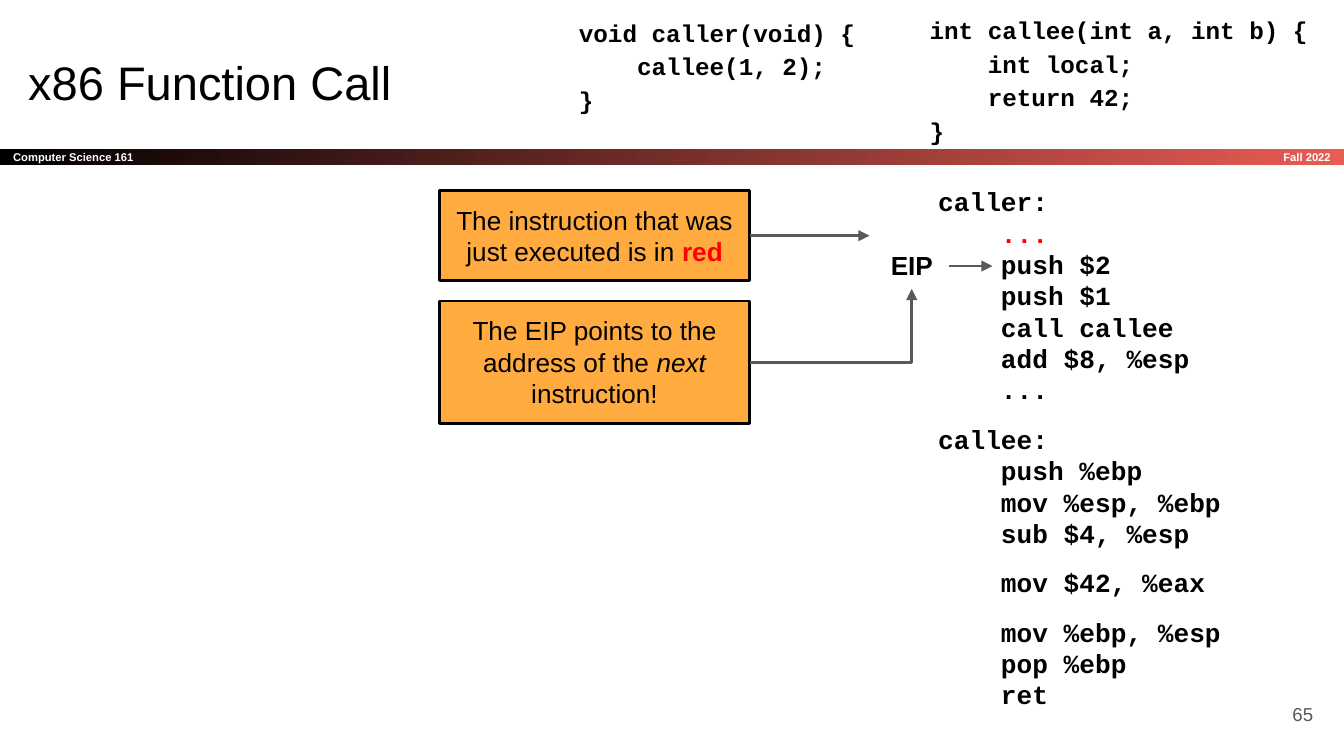
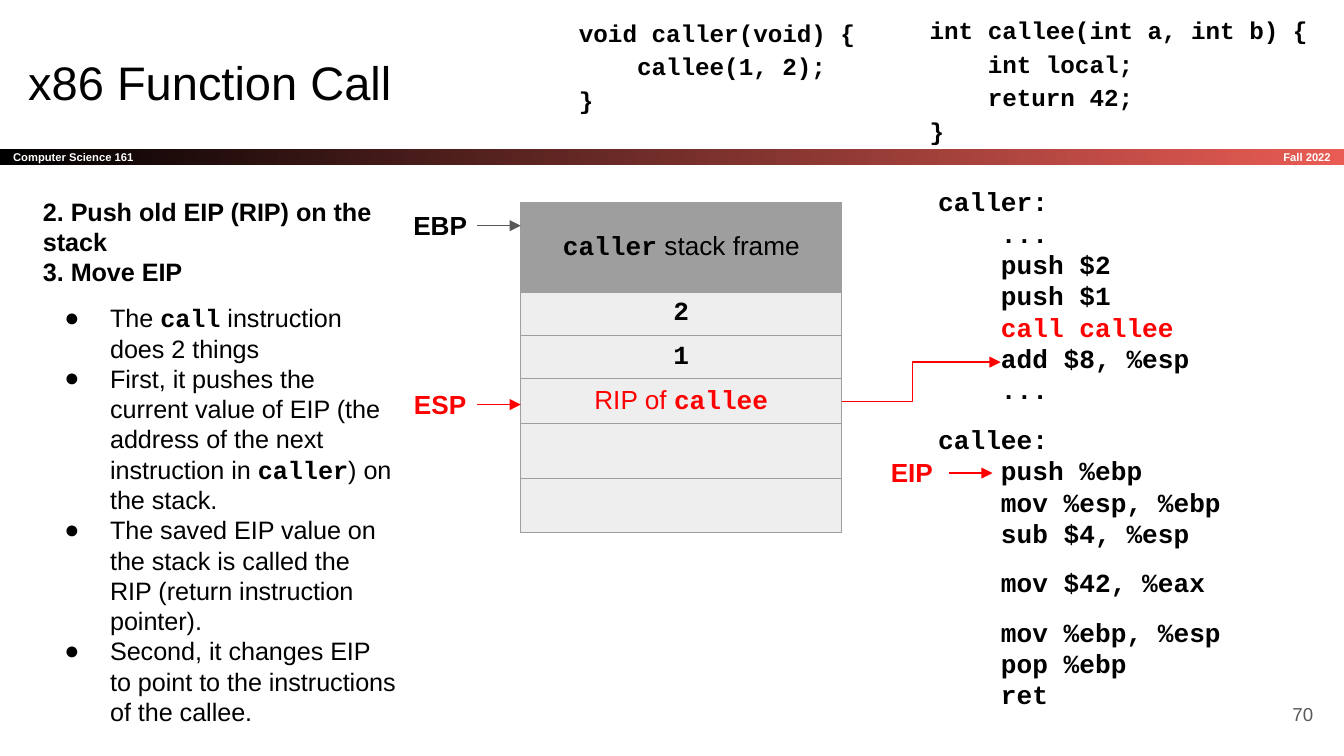
from dataclasses import dataclass
from typing import NamedTuple

from lxml import etree
from pptx import Presentation
from pptx.dml.color import RGBColor
from pptx.enum.shapes import MSO_CONNECTOR, MSO_SHAPE
from pptx.enum.text import MSO_ANCHOR, MSO_AUTO_SIZE, PP_ALIGN
from pptx.oxml.ns import qn
from pptx.util import Pt

LEFT, CENTER, RIGHT = PP_ALIGN.LEFT, PP_ALIGN.CENTER, PP_ALIGN.RIGHT
TOP, MIDDLE = MSO_ANCHOR.TOP, MSO_ANCHOR.MIDDLE
NO_AUTOFIT = MSO_AUTO_SIZE.NONE
STRAIGHT, ELBOW = MSO_CONNECTOR.STRAIGHT, MSO_CONNECTOR.ELBOW
RECTANGLE = MSO_SHAPE.RECTANGLE
BOTTOM_SIDE, RIGHT_SIDE = 2, 3

BLACK, WHITE, RED, GREY = "000000", "FFFFFF", "FF0000", "595959"
BAND_END, CALLOUT_FILL = "E85C54", "FFAB40"
FRAME_FILL, SLOT_FILL = "9E9E9E", "EEEEEE"
SANS, MONO = "Arial", "Courier New"

LEADING = 1.2
POINTER_LENGTH = 23.4
REGISTER_SIZE = (39.6, 24.5)
STACK_LEFT, STACK_TOP, STACK_WIDTH = 279, 108.7, 172
SLOT_HEIGHTS = (48, 23, 23, 24, 27.5, 27.5)

CALLER_CODE = "void caller(void) {\n    callee(1, 2);\n}"
CALLEE_CODE = "int callee(int a, int b) {\n    int local;\n    return 42;\n}"
ASSEMBLY_BLOCKS = (
    ("caller:", "    ...", "    push $2", "    push $1", "    call callee",
     "    add $8, %esp", "    ..."),
    ("callee:", "    push %ebp", "    mov %esp, %ebp", "    sub $4, %esp"),
    ("    mov $42, %eax",),
    ("    mov %ebp, %esp", "    pop %ebp", "    ret"),
)


class Box(NamedTuple):
    left: float
    top: float
    width: float
    height: float


@dataclass(frozen=True)
class Span:
    text: str
    size: float = 14
    font: str = SANS
    color: str = BLACK
    bold: bool = False
    italic: bool = False


@dataclass(frozen=True)
class Line:
    spans: tuple
    align: PP_ALIGN = LEFT
    before: float = 0
    leading: float | None = None
    bulleted: bool = False


@dataclass(frozen=True)
class Register:
    name: str
    left: float
    top: float
    color: str = BLACK
    pointer_color: str = GREY


EIP_NEXT = Register("EIP", 468.7, 130.3)
SLIDE_2_REGISTERS = (
    Register("EBP", 216, 108.7),
    Register("ESP", 216, 204.5, RED, RED),
    Register("EIP", 468.7, 241.2, RED, RED),
)


def rgb(color: str) -> RGBColor:
    return RGBColor.from_string(color)


def points(values) -> list:
    return [Pt(value) for value in values]


def apply(target, values: dict) -> None:
    for name, value in values.items():
        setattr(target, name, value)


def add_xml(parent, tag: str, **attributes: str):
    return etree.SubElement(parent, qn(tag), attributes)


def write(frame, lines, inset: float = 7.2, anchor=TOP, inset_y: float | None = None) -> None:
    """Fill a text frame with lines, ignoring any inherited list format."""
    inset_y = inset if inset_y is None else inset_y
    apply(frame, {
        "word_wrap": True, "auto_size": NO_AUTOFIT, "vertical_anchor": anchor,
        "margin_left": Pt(inset), "margin_right": Pt(inset),
        "margin_top": Pt(inset_y), "margin_bottom": Pt(inset_y),
    })
    write_lines(frame, lines)


def write_lines(frame, lines) -> None:
    for index, line in enumerate(lines):
        paragraph = frame.add_paragraph() if index else frame.paragraphs[0]
        properties = paragraph._p.get_or_add_pPr()
        indent = (36, -24.5) if line.bulleted else (0, 0)
        for name, value in zip(("marL", "indent"), points(indent)):
            properties.set(name, str(int(value)))
        if line.bulleted:
            add_xml(add_xml(properties, "a:buClr"), "a:srgbClr", val=BLACK)
            add_xml(properties, "a:buChar", char="●")
        else:
            add_xml(properties, "a:buNone")
        apply(paragraph, {
            "alignment": line.align, "space_before": Pt(line.before),
            "space_after": Pt(0),
            "line_spacing": Pt(line.leading) if line.leading else 1.0,
        })
        for span in line.spans:
            write_span(paragraph, span)


def write_span(paragraph, span: Span) -> None:
    for index, text in enumerate(span.text.split("\n")):
        if index:
            paragraph.add_line_break()
        run = paragraph.add_run()
        run.text = text
        apply(run.font, {"name": span.font, "size": Pt(span.size),
                         "bold": span.bold, "italic": span.italic})
        run.font.color.rgb = rgb(span.color)


def place(shape, box: Box) -> None:
    apply(shape, dict(zip(("left", "top", "width", "height"), points(box))))


def add_label(slide, box: Box, line: Line, **frame_format):
    label = slide.shapes.add_textbox(*points(box))
    write(label.text_frame, [line], **frame_format)
    return label


def add_callout(slide, box: Box, *spans: Span):
    callout = slide.shapes.add_shape(RECTANGLE, *points(box))
    callout.shadow.inherit = False
    callout.fill.solid()
    callout.fill.fore_color.rgb = rgb(CALLOUT_FILL)
    callout.line.color.rgb = rgb(BLACK)
    callout.line.width = Pt(1.5)
    write(callout.text_frame, [Line(spans, CENTER, leading=14 * LEADING)])
    return callout


def style_arrow(arrow, color: str, width: float) -> None:
    arrow.line.color.rgb = rgb(color)
    arrow.line.width = Pt(width)
    add_xml(arrow.line._get_or_add_ln(), "a:tailEnd", type="triangle")


def add_arrow(slide, source, end, color=GREY, width=0.75, kind=STRAIGHT):
    """Run an arrow from the right side of source to a point."""
    arrow = slide.shapes.add_connector(kind, 0, 0, *points(end))
    arrow.begin_connect(source, RIGHT_SIDE)
    style_arrow(arrow, color, width)
    add_xml(arrow._element.spPr, "a:effectLst")
    return arrow


def add_register(slide, register: Register):
    box = Box(register.left, register.top, *REGISTER_SIZE)
    name = Span(register.name, color=register.color, bold=True)
    label = add_label(slide, box, Line((name,), CENTER), inset=3.6)
    end = (box.left + box.width + POINTER_LENGTH, box.top + box.height / 2)
    add_arrow(slide, label, end, register.pointer_color)
    return label


def add_band(slide) -> None:
    band = slide.shapes.add_shape(RECTANGLE, *points((0, 80, 720, 8.6)))
    band.shadow.inherit = False
    band.line.fill.background()
    band.fill.gradient()
    band.fill.gradient_angle = 0
    for stop, color, position in zip(band.fill.gradient_stops, (BLACK, BAND_END), (0, 1)):
        stop.color.rgb = rgb(color)
        stop.position = position
    small = {"size": 6, "color": WHITE, "bold": True}
    frame_format = {"anchor": MIDDLE, "inset_y": 0}
    write(band.text_frame, [Line((Span("Computer Science 161", **small),))], **frame_format)
    add_label(slide, Box(600.5, 80, 119.5, 8.6),
              Line((Span("Fall 2022", **small),), RIGHT), **frame_format)


def add_assembly(slide, executed: str) -> None:
    """List the instructions, with the one just executed in red."""
    lines = []
    for block in ASSEMBLY_BLOCKS:
        for index, code in enumerate(block):
            color = RED if (code.strip() == executed and code not in
                            [line.spans[0].text for line in lines]) else BLACK
            gap = 8 * LEADING if lines and index == 0 else 0
            span = Span(code, font=MONO, color=color, bold=True)
            lines.append(Line((span,), before=gap, leading=14 * LEADING))
    listing = slide.placeholders[1]
    place(listing, Box(495.4, 92.2, 203.8, 306))
    write(listing.text_frame, lines)


def add_call_slide(deck, layout: int, number: str, executed: str):
    slide = deck.slides.add_slide(deck.slide_layouts[layout])
    add_band(slide)
    add_assembly(slide, executed)
    place(slide.shapes.title, Box(7.9, 21.6, 671, 45.4))
    write(slide.shapes.title.text_frame, [Line((Span("x86 Function Call", 25.2),))])
    add_label(slide, Box(667.4, 367.2, 43.2, 31),
              Line((Span(number, 10, color=GREY),), RIGHT), anchor=MIDDLE)
    for code, box in ((CALLER_CODE, Box(303.1, 0, 180, 67.7)),
                      (CALLEE_CODE, Box(491, -1.4, 219.6, 85))):
        add_label(slide, box, Line((Span(code, 13, MONO, bold=True),), leading=18))
    return slide


def add_stack(slide) -> None:
    slots = (
        (Span("caller", font=MONO, bold=True), Span(" stack frame")),
        (Span("2", font=MONO, bold=True),),
        (Span("1", font=MONO, bold=True),),
        (Span("RIP of ", color=RED), Span("callee", font=MONO, color=RED, bold=True)),
        (),
        (),
    )
    size = (STACK_WIDTH, sum(SLOT_HEIGHTS))
    stack = slide.shapes.add_table(len(slots), 1, *points((STACK_LEFT, STACK_TOP, *size))).table
    apply(stack, {"first_row": False, "horz_banding": False})
    for index, (spans, height) in enumerate(zip(slots, SLOT_HEIGHTS)):
        stack.rows[index].height = Pt(height)
        cell = stack.cell(index, 0)
        margins = ("margin_left", "margin_right", "margin_top", "margin_bottom")
        apply(cell, dict.fromkeys(margins, Pt(3.6)))
        cell.vertical_anchor = TOP if index else MIDDLE
        for side in ("a:lnL", "a:lnR", "a:lnT", "a:lnB"):
            border = add_xml(cell._tc.get_or_add_tcPr(), side, w=str(int(Pt(0.75))))
            add_xml(add_xml(border, "a:solidFill"), "a:srgbClr", val=FRAME_FILL)
        cell.fill.solid()
        cell.fill.fore_color.rgb = rgb(SLOT_FILL if index else FRAME_FILL)
        if spans:
            write_lines(cell.text_frame, [Line(spans, CENTER)])


def add_return_arrow(slide) -> None:
    """Lead from the saved RIP to the instruction it points at."""
    outline = slide.shapes.build_freeform(STACK_LEFT + STACK_WIDTH, 215.3, scale=Pt(1))
    outline.add_line_segments([(488.9, 215.3), (488.9, 194.4), (535.7, 194.4)], close=False)
    arrow = outline.convert_to_shape()
    arrow.shadow.inherit = False
    arrow.fill.background()
    style_arrow(arrow, RED, 0.75)


def add_notes(slide) -> None:
    def plain(text: str) -> Span:
        return Span(text, 13.5)

    def code(text: str) -> Span:
        return Span(text, 13.5, MONO, bold=True)

    heading = Span("2. Push old EIP (RIP) on the stack\n3. Move EIP", 13.5, bold=True)
    bullets = (
        (plain("The "), code("call"), plain(" instruction does 2 things")),
        (plain("First, it pushes the current value of EIP (the address of the next "
               "instruction in "), code("caller"), plain(") on the stack.")),
        (plain("The saved EIP value on the stack is called the RIP "
               "(return instruction pointer)."),),
        (plain("Second, it changes EIP to point to the instructions of the callee."),),
    )
    leading = 13.5 * LEADING
    lines = [Line((heading,), leading=leading)]
    for index, spans in enumerate(bullets):
        gap = 0 if index else 7 * LEADING
        lines.append(Line(spans, before=gap, leading=leading, bulleted=True))
    notes = slide.placeholders[2]
    place(notes, Box(15.8, 97.9, 203.8, 296.6))
    write(notes.text_frame, lines)


def build_legend_slide(deck) -> None:
    slide = add_call_slide(deck, 1, "65", "...")
    executed = add_callout(slide, Box(235.4, 102.2, 166.3, 48.2),
                           Span("The instruction that was just executed is in "),
                           Span("red", color=RED, bold=True))
    add_arrow(slide, executed, (465.8, 126.3), width=1.5)
    upcoming = add_callout(slide, Box(235.4, 161.3, 166.3, 65.5),
                           Span("The EIP points to the address of the "),
                           Span("next", italic=True), Span(" instruction!"))
    eip = add_register(slide, EIP_NEXT)
    bend = add_arrow(slide, upcoming, (488.5, 154.8), width=1.5, kind=ELBOW)
    bend.end_connect(eip, BOTTOM_SIDE)
    bend._element.spPr.find(qn("a:prstGeom")).set("prst", "bentConnector2")


def build_call_slide(deck) -> None:
    slide = add_call_slide(deck, 3, "70", "call callee")
    add_return_arrow(slide)
    add_stack(slide)
    add_notes(slide)
    for register in SLIDE_2_REGISTERS:
        add_register(slide, register)


def main() -> None:
    deck = Presentation()
    apply(deck, {"slide_width": Pt(720), "slide_height": Pt(405)})
    build_legend_slide(deck)
    build_call_slide(deck)
    deck.save("out.pptx")


if __name__ == "__main__":
    main()
